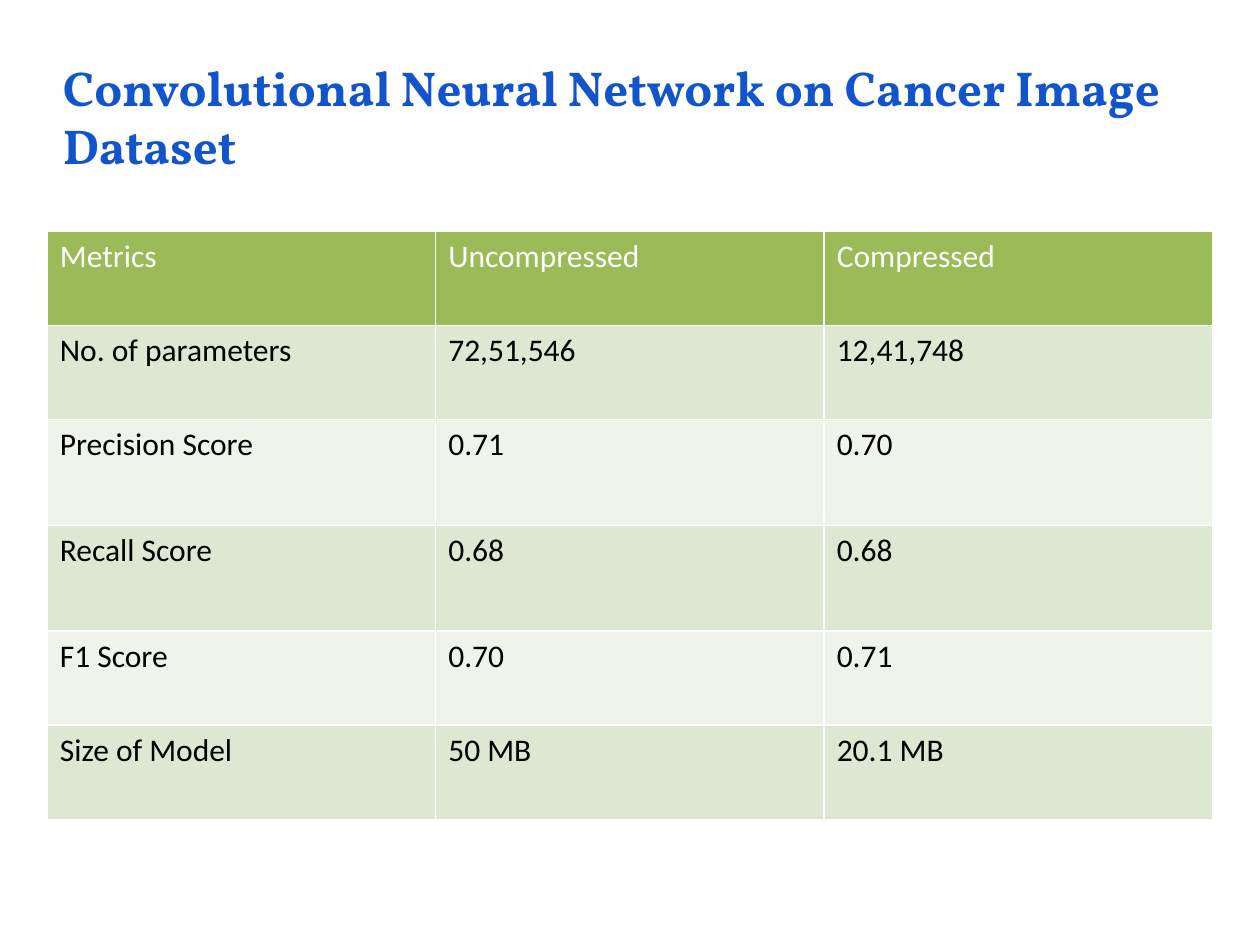
from lxml import etree
from pptx import Presentation
from pptx import util as u
from pptx.dml.color import RGBColor
from pptx.enum import text
from pptx.oxml.ns import qn

# Content
TITLE = "Convolutional Neural Network on Cancer Image Dataset"
ROWS = [
    ("Metrics", "Uncompressed", "Compressed"),
    ("No. of parameters", "72,51,546", "12,41,748"),
    ("Precision Score", "0.71", "0.70"),
    ("Recall Score", "0.68", "0.68"),
    ("F1 Score", "0.70", "0.71"),
    ("Size of Model", "50 MB", "20.1 MB"),
]

# Theme and layout, in points
THEME = {
    "title": {"font": "Vollkorn", "size": 28, "color": "1154CC", "bold": True},
    "header": {"font": "Calibri", "size": 18, "color": "FFFFFF", "bold": False},
    "body": {"font": "Calibri", "size": 18, "color": "000000", "bold": False},
    "header_fill": "9BBB59",
    "bands": ("EFF3EA", "DEE7D1"),
    "border": ("FFFFFF", 1),
}
SLIDE_SIZE = (720, 540)
TITLE_BOX = (36, 32.4, 648, 67.7)
TABLE_AT = (27, 132.2)
COL_WIDTH = 222
ROW_HEIGHTS = [53.75, 53.75, 60.5, 60.5, 53.75, 53.75]


def style_text(tf, style):
    for p in tf.paragraphs:
        for r in p.runs:
            r.font.name = style["font"]
            r.font.size = u.Pt(style["size"])
            r.font.bold = style["bold"]
            r.font.color.rgb = RGBColor.from_string(style["color"])


def set_borders(cell, color, width):
    tc_pr = cell._tc.get_or_add_tcPr()
    for i, side in enumerate(("lnL", "lnR", "lnT", "lnB")):
        ln = etree.Element(qn(f"a:{side}"), w=str(u.Pt(width)))
        fill = etree.SubElement(ln, qn("a:solidFill"))
        etree.SubElement(fill, qn("a:srgbClr"), val=color)
        tc_pr.insert(i, ln)  # borders come before the fill


def add_title(s):
    tf = s.shapes.add_textbox(*map(u.Pt, TITLE_BOX)).text_frame
    tf.word_wrap = True
    tf.vertical_anchor = text.MSO_ANCHOR.MIDDLE
    tf.margin_left = tf.margin_right = tf.margin_top = tf.margin_bottom = 0
    tf.text = TITLE
    style_text(tf, THEME["title"])


def add_metrics_table(s):
    n_cols = len(ROWS[0])
    size = (COL_WIDTH * n_cols, sum(ROW_HEIGHTS))
    table = s.shapes.add_table(len(ROWS), n_cols, *map(u.Pt, TABLE_AT + size)).table
    for col in table.columns:
        col.width = u.Pt(COL_WIDTH)
    for i, (values, height) in enumerate(zip(ROWS, ROW_HEIGHTS)):
        table.rows[i].height = u.Pt(height)
        style = THEME["body" if i else "header"]
        color = THEME["bands"][i % 2] if i else THEME["header_fill"]
        for j, value in enumerate(values):
            cell = table.cell(i, j)
            cell.text_frame.text = value
            style_text(cell.text_frame, style)
            cell.fill.solid()
            cell.fill.fore_color.rgb = RGBColor.from_string(color)
            set_borders(cell, *THEME["border"])


def main():
    prs = Presentation()
    prs.slide_width, prs.slide_height = map(u.Pt, SLIDE_SIZE)
    s = prs.slides.add_slide(prs.slide_layouts[6])
    add_title(s)
    add_metrics_table(s)
    prs.save("out.pptx")


if __name__ == "__main__":
    main()
